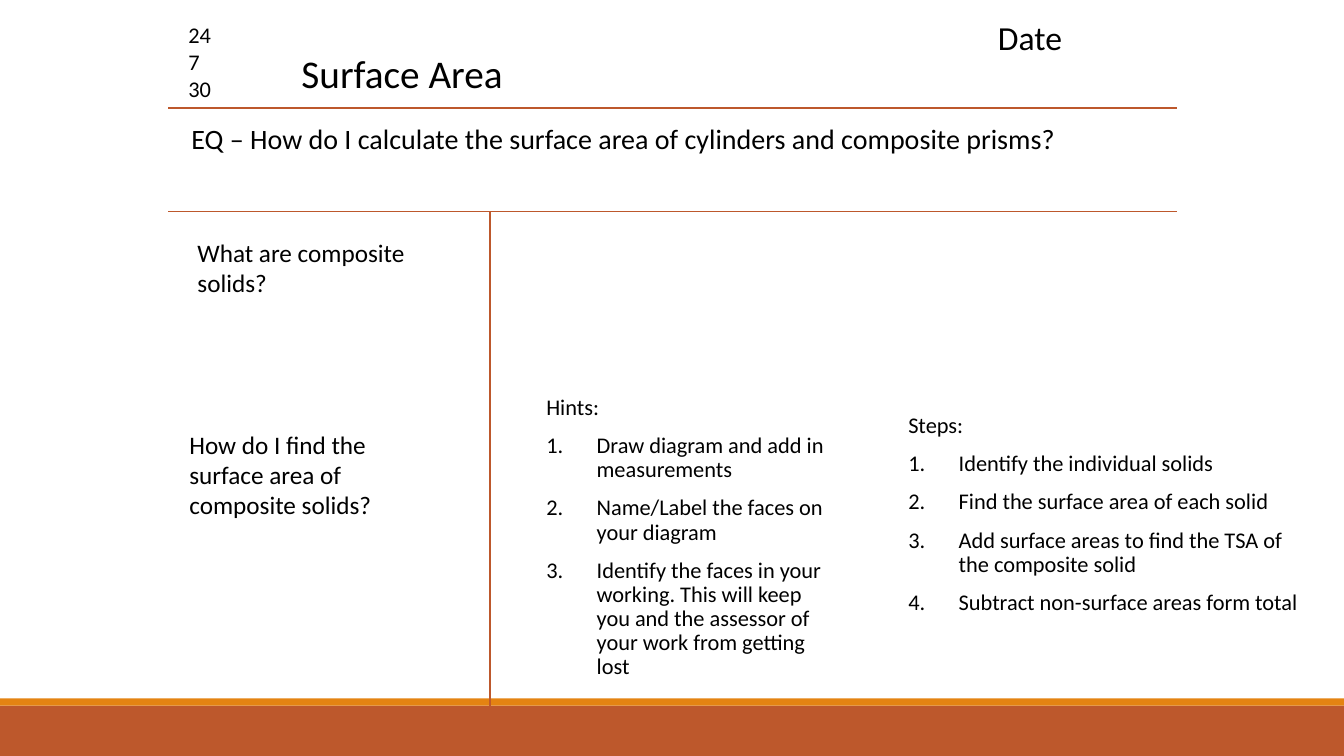
from dataclasses import dataclass

from lxml import etree
from pptx import Presentation
from pptx.dml.color import RGBColor
from pptx.enum.shapes import MSO_CONNECTOR, MSO_SHAPE
from pptx.enum.text import MSO_ANCHOR, MSO_AUTO_SIZE, PP_ALIGN
from pptx.oxml.ns import qn
from pptx.slide import Slide
from pptx.text.text import TextFrame
from pptx.util import Inches, Pt

STRAIGHT = MSO_CONNECTOR.STRAIGHT
RECTANGLE = MSO_SHAPE.RECTANGLE
TOP = MSO_ANCHOR.TOP
NO_AUTOFIT = MSO_AUTO_SIZE.NONE
LEFT = PP_ALIGN.LEFT


@dataclass(frozen=True)
class Theme:
    font: str = "Calibri"
    ink: RGBColor = RGBColor(0x00, 0x00, 0x00)
    rust: RGBColor = RGBColor(0xBD, 0x58, 0x2C)
    orange: RGBColor = RGBColor(0xE4, 0x83, 0x12)
    title: int = 28
    date: int = 24
    essential_question: int = 20
    cue: int = 18
    body: int = 16
    rule: int = 1


@dataclass(frozen=True)
class Box:
    left: float
    top: float
    width: float
    height: float


@dataclass(frozen=True)
class Note:
    box: Box
    size: int
    lines: tuple[str, ...]


@dataclass(frozen=True)
class NumberedNote:
    box: Box
    heading: str
    items: tuple[str, ...]


@dataclass(frozen=True)
class Rule:
    x1: float
    y1: float
    x2: float
    y2: float


@dataclass(frozen=True)
class Band:
    box: Box
    color: RGBColor


THEME = Theme()
SLIDE_WIDTH, SLIDE_HEIGHT = 13.33, 7.5
PAGE_LEFT, PAGE_RIGHT = 1.67, 11.67
HEADER_Y, QUESTION_Y, CUE_X = 1.07, 2.1, 4.86

BANDS = (
    Band(Box(0, 7, SLIDE_WIDTH, 0.5), THEME.rust),
    Band(Box(0, 6.93, SLIDE_WIDTH, 0.07), THEME.orange),
)
RULES = (
    Rule(PAGE_LEFT, HEADER_Y, PAGE_RIGHT, HEADER_Y),
    Rule(PAGE_LEFT, QUESTION_Y, PAGE_RIGHT, QUESTION_Y),
    Rule(CUE_X, QUESTION_Y, CUE_X, SLIDE_HEIGHT),
)
TITLE = Note(Box(2.89, 0.44, 2.22, 0.57), THEME.title, ("Surface Area",))
NOTES = (
    Note(Box(1.77, 0.16, 0.63, 0.91), THEME.body, ("24", "7", "30")),
    Note(Box(9.8, 0.12, 1.73, 0.5), THEME.date, ("Date",)),
    Note(Box(1.8, 1.16, 10.04, 0.44), THEME.essential_question,
         ("EQ – How do I calculate the surface area of cylinders and composite prisms?",)),
    Note(Box(1.86, 2.3, 2.6, 0.71), THEME.cue, ("What are composite solids?",)),
    Note(Box(1.78, 4.21, 2.6, 1.01), THEME.cue,
         ("How do I find the surface area of composite solids?",)),
)
NUMBERED_NOTES = (
    NumberedNote(Box(5.32, 3.88, 3, 3.05), "Hints:", (
        "Draw diagram and add in measurements",
        "Name/Label the faces on your diagram",
        "Identify the faces in your working. This will keep you and the assessor "
        "of your work from getting lost",
    )),
    NumberedNote(Box(8.91, 4.06, 4.18, 3.05), "Steps:", (
        "Identify the individual solids",
        "Find the surface area of each solid",
        "Add surface areas to find the TSA of the composite solid",
        "Subtract non-surface areas form total",
    )),
)


def inches(box: Box) -> tuple[Inches, Inches, Inches, Inches]:
    return Inches(box.left), Inches(box.top), Inches(box.width), Inches(box.height)


def draw_band(slide: Slide, band: Band) -> None:
    shape = slide.shapes.add_shape(RECTANGLE, *inches(band.box))
    shape.shadow.inherit = False
    shape.fill.solid()
    shape.fill.fore_color.rgb = band.color
    shape.line.fill.background()


def draw_rule(slide: Slide, rule: Rule) -> None:
    connector = slide.shapes.add_connector(
        STRAIGHT, Inches(rule.x1), Inches(rule.y1), Inches(rule.x2), Inches(rule.y2))
    connector.line.color.rgb = THEME.rust
    connector.line.width = Pt(THEME.rule)
    etree.SubElement(connector._element.spPr, qn("a:effectLst"))


def write_lines(frame: TextFrame, lines: tuple[str, ...], size: int) -> None:
    """Fill the frame with one left-aligned paragraph per line."""
    frame.auto_size = NO_AUTOFIT
    frame.vertical_anchor = TOP
    for index, line in enumerate(lines):
        paragraph = frame.paragraphs[0] if index == 0 else frame.add_paragraph()
        paragraph.alignment = LEFT
        run = paragraph.add_run()
        run.text = line
        run.font.name = THEME.font
        run.font.size = Pt(size)
        run.font.color.rgb = THEME.ink


def add_frame(slide: Slide, box: Box) -> TextFrame:
    frame = slide.shapes.add_textbox(*inches(box)).text_frame
    frame.word_wrap = True
    return frame


def draw_title(slide: Slide) -> None:
    title = slide.shapes.title
    title.left, title.top, title.width, title.height = inches(TITLE.box)
    title.text_frame.word_wrap = False
    write_lines(title.text_frame, TITLE.lines, TITLE.size)


def draw_numbered_note(slide: Slide, note: NumberedNote) -> None:
    frame = add_frame(slide, note.box)
    write_lines(frame, (note.heading, *note.items), THEME.body)
    for index, paragraph in enumerate(frame.paragraphs):
        paragraph.line_spacing = 0.9
        if index:
            paragraph.space_before = Pt(10)
            properties = paragraph._p.get_or_add_pPr()
            properties.set("marL", str(Inches(0.5)))
            properties.set("indent", str(-Inches(0.5)))
            etree.SubElement(properties, qn("a:buFont"), typeface="+mj-lt")
            etree.SubElement(properties, qn("a:buAutoNum"), type="arabicPeriod")


def main() -> None:
    deck = Presentation()
    deck.slide_width, deck.slide_height = Inches(SLIDE_WIDTH), Inches(SLIDE_HEIGHT)
    slide = deck.slides.add_slide(deck.slide_layouts.get_by_name("Title Only"))
    for band in BANDS:
        draw_band(slide, band)
    for rule in RULES:
        draw_rule(slide, rule)
    draw_title(slide)
    for note in NOTES:
        write_lines(add_frame(slide, note.box), note.lines, note.size)
    for numbered_note in NUMBERED_NOTES:
        draw_numbered_note(slide, numbered_note)
    deck.save("out.pptx")


if __name__ == "__main__":
    main()
